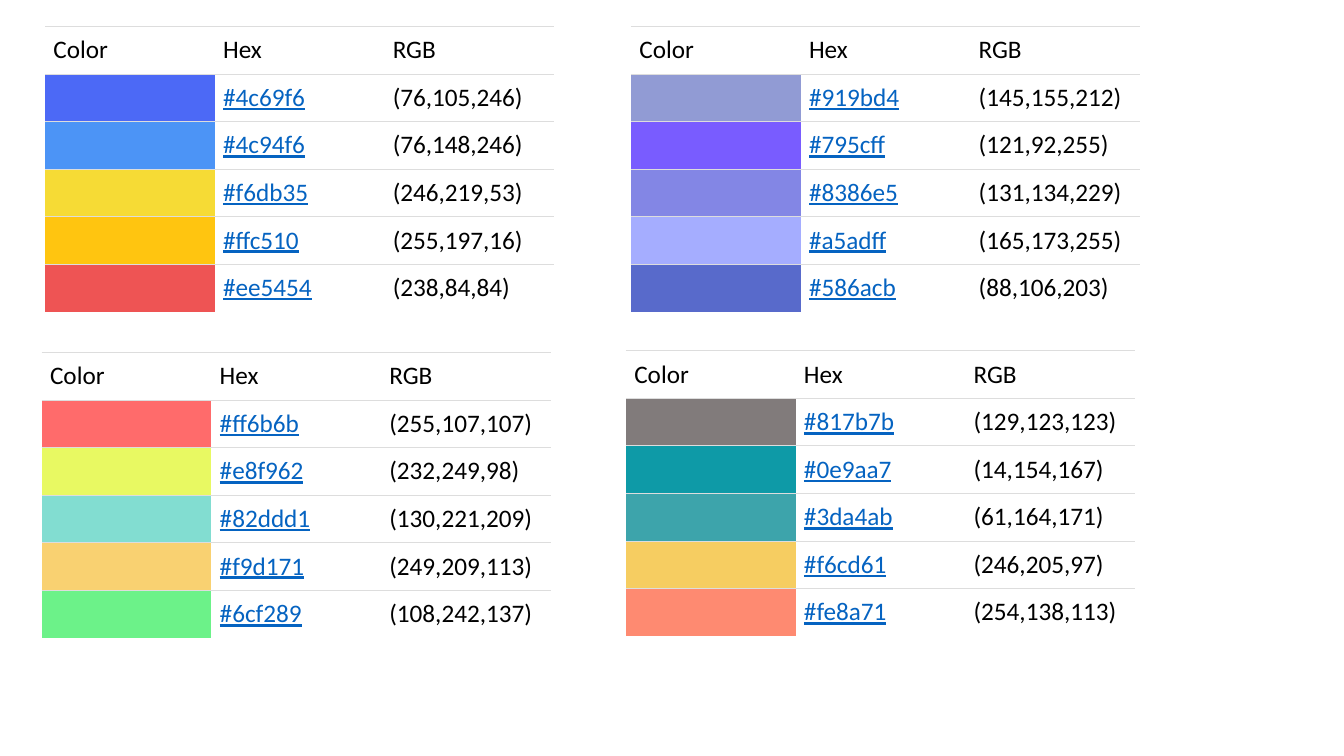
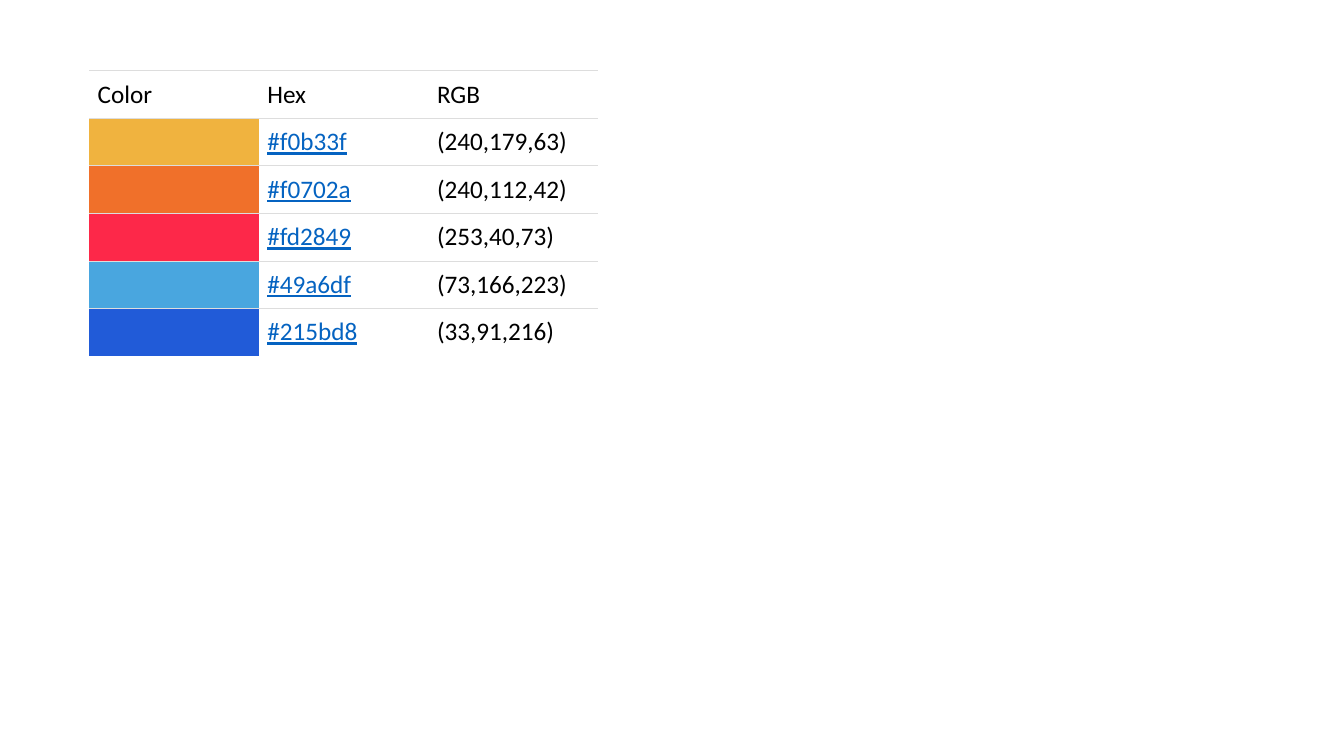
from dataclasses import dataclass

from lxml import etree
from pptx import Presentation
from pptx.dml.color import RGBColor
from pptx.oxml.ns import qn
from pptx.util import Pt

SLIDE_WIDTH, SLIDE_HEIGHT = 960, 540
BLANK_LAYOUT = 6

HEADERS = ("Color", "Hex", "RGB")
COLUMN_WIDTH = 121.2
ROW_HEIGHT = 33.9
CELL_MARGIN = 6
RULE_WIDTH = 0.75

TEXT_COLOR = "000000"
LINK_COLOR = "0563C1"
CELL_COLOR = "FFFFFF"
RULE_COLOR = "DDDDDD"

FONT_FORMAT = {"name": "Calibri", "size": Pt(18), "bold": False}
CELL_FORMAT = {
    f"margin_{side}": Pt(CELL_MARGIN) for side in ("left", "right", "top", "bottom")
}
TABLE_FORMAT = {"first_row": False, "horz_banding": False}


@dataclass(frozen=True)
class Palette:
    left: float
    top: float
    colors: tuple[str, ...]


SLIDES = (
    (
        Palette(32.2, 18.9, ("4c69f6", "4c94f6", "f6db35", "ffc510", "ee5454")),
        Palette(450.7, 18.9, ("919bd4", "795cff", "8386e5", "a5adff", "586acb")),
        Palette(29.8, 251.8, ("ff6b6b", "e8f962", "82ddd1", "f9d171", "6cf289")),
        Palette(447.1, 250.6, ("817b7b", "0e9aa7", "3da4ab", "f6cd61", "fe8a71")),
    ),
    (Palette(63.8, 50.6, ("f0b33f", "f0702a", "fd2849", "49a6df", "215bd8")),),
)


def to_rgb(color: str) -> RGBColor:
    return RGBColor.from_string(color.upper())


def apply_format(target, values: dict) -> None:
    for name, value in values.items():
        setattr(target, name, value)


def set_borders(cell, ruled_sides: str) -> None:
    """Rule the sides named by their letters (L, R, T, B) and clear the others."""
    properties = cell._tc.get_or_add_tcPr()
    for side in "LRTB":
        ruled = side in ruled_sides
        width = Pt(RULE_WIDTH) if ruled else 0
        line = etree.SubElement(properties, qn(f"a:ln{side}"), w=str(width))
        if ruled:
            fill = etree.SubElement(line, qn("a:solidFill"))
            etree.SubElement(fill, qn("a:srgbClr"), val=RULE_COLOR)
        else:
            etree.SubElement(line, qn("a:noFill"))


def style_cell(cell, fill_color: str, ruled_sides: str) -> None:
    apply_format(cell, CELL_FORMAT)
    set_borders(cell, ruled_sides)
    cell.fill.solid()
    cell.fill.fore_color.rgb = to_rgb(fill_color)


def write_text(cell, text: str, color: str = TEXT_COLOR, underline: bool = False) -> None:
    run = cell.text_frame.paragraphs[0].add_run()
    run.text = text
    apply_format(run.font, FONT_FORMAT | {"underline": underline})
    run.font.color.rgb = to_rgb(color)


def add_palette(slide, palette: Palette) -> None:
    row_count, column_count = len(palette.colors) + 1, len(HEADERS)
    table = slide.shapes.add_table(
        row_count,
        column_count,
        Pt(palette.left),
        Pt(palette.top),
        Pt(COLUMN_WIDTH * column_count),
        Pt(ROW_HEIGHT * row_count),
    ).table
    apply_format(table, TABLE_FORMAT)
    for column in table.columns:
        column.width = Pt(COLUMN_WIDTH)

    for row_index, row in enumerate(table.rows):
        row.height = Pt(ROW_HEIGHT)
        ruled_sides = "T" if row_index == row_count - 1 else "TB"
        swatch_color = palette.colors[row_index - 1] if row_index else CELL_COLOR
        for cell, fill_color in zip(row.cells, (swatch_color, CELL_COLOR, CELL_COLOR)):
            style_cell(cell, fill_color, ruled_sides)

    for column_index, header in enumerate(HEADERS):
        write_text(table.cell(0, column_index), header)
    for row_index, color in enumerate(palette.colors, start=1):
        channels = ",".join(str(channel) for channel in to_rgb(color))
        write_text(table.cell(row_index, 1), f"#{color}", LINK_COLOR, underline=True)
        write_text(table.cell(row_index, 2), f"({channels})")


def main() -> None:
    presentation = Presentation()
    presentation.slide_width = Pt(SLIDE_WIDTH)
    presentation.slide_height = Pt(SLIDE_HEIGHT)
    for palettes in SLIDES:
        slide = presentation.slides.add_slide(presentation.slide_layouts[BLANK_LAYOUT])
        for palette in palettes:
            add_palette(slide, palette)
    presentation.save("out.pptx")


if __name__ == "__main__":
    main()
